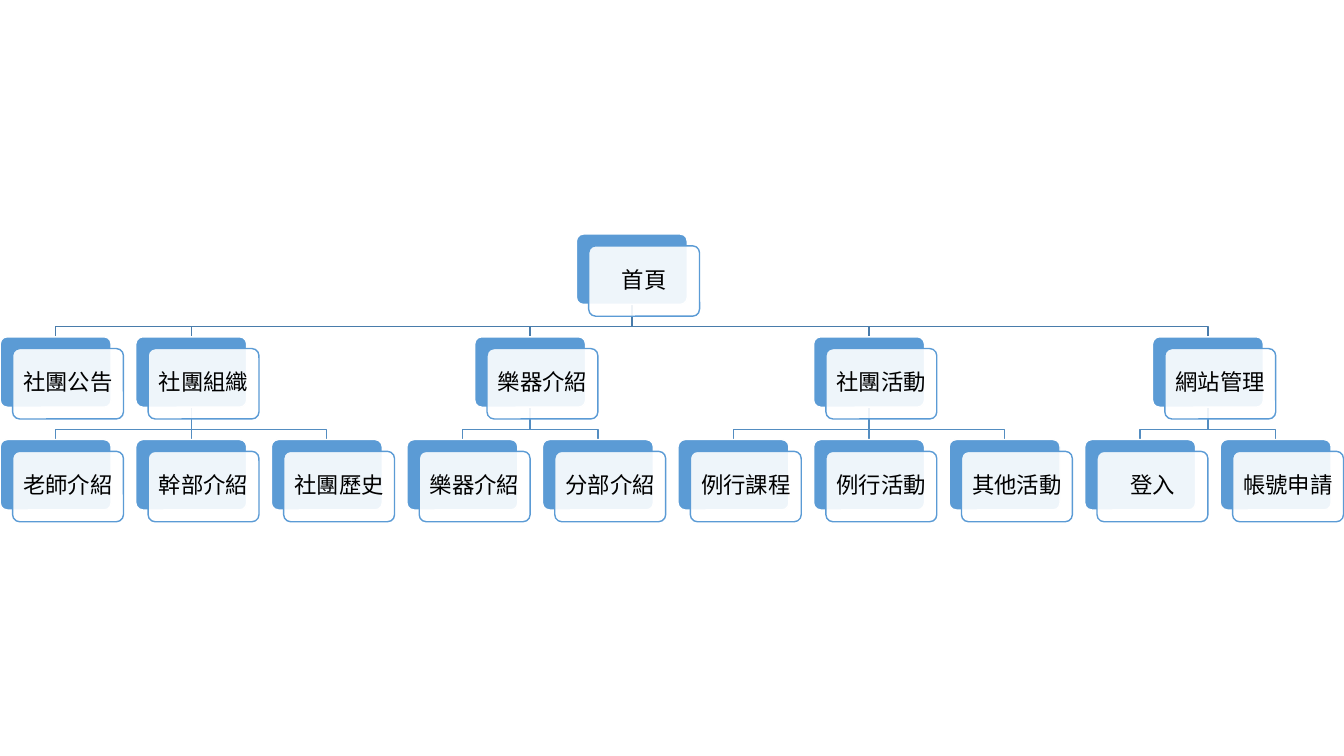
from dataclasses import dataclass

from lxml.etree import SubElement
from pptx import Presentation
from pptx.dml.color import RGBColor
from pptx.enum.shapes import MSO_CONNECTOR as Link, MSO_SHAPE as Preset
from pptx.enum.text import MSO_ANCHOR as Anchor, PP_ALIGN as Align
from pptx.oxml.ns import qn
from pptx.util import Pt

COLORS = {
    "card": "5B9BD5",
    "paper": "FFFFFF",
    "ink": "000000",
    "upper_link": "497CAB",
    "lower_link": "538DC1",
}
LEFT, TOP = 0.2, 167.2
COLUMN_PITCH, ROW_PITCH = 96.83, 73.4
CARD_WIDTH, CARD_HEIGHT = 79.2, 50.3
FRONT_RIGHT, FRONT_DOWN = 8.8, 8.4
LINK_BEND = 15.8

HOME = "首頁"
SECTIONS = [
    ("社團公告", []),
    ("社團組織", ["老師介紹", "幹部介紹", "社團歷史"]),
    ("樂器介紹", ["樂器介紹", "分部介紹"]),
    ("社團活動", ["例行課程", "例行活動", "其他活動"]),
    ("網站管理", ["登入", "帳號申請"]),
]


@dataclass
class Node:
    label: str
    column: float
    row: int

    @property
    def left(self):
        return LEFT + self.column * COLUMN_PITCH

    @property
    def top(self):
        return TOP + self.row * ROW_PITCH

    @property
    def center(self):
        return self.left + CARD_WIDTH / 2

    @property
    def bottom(self):
        return self.top + CARD_HEIGHT


def rgb(name):
    return RGBColor.from_string(COLORS[name])


def write(frame, text, size=16, font="Calibri", color="ink", inset=3):
    frame.word_wrap = True
    frame.vertical_anchor = Anchor.MIDDLE
    frame.margin_left = frame.margin_right = Pt(inset)
    frame.margin_top = frame.margin_bottom = Pt(inset)
    paragraph = frame.paragraphs[0]
    paragraph.alignment = Align.CENTER
    paragraph.line_spacing = 0.9
    run = paragraph.add_run()
    run.text = text
    run.font.size = Pt(size)
    run.font.name = font
    run.font.color.rgb = rgb(color)


class SiteMap:
    def __init__(self, slide, line_width=1):
        self.slide = slide
        self.line_width = line_width

    def outline(self, shape, color):
        shape.line.color.rgb = rgb(color)
        shape.line.width = Pt(self.line_width)

    def panel(self, left, top, fill, line):
        panel = self.slide.shapes.add_shape(
            Preset.ROUNDED_RECTANGLE, Pt(left), Pt(top), Pt(CARD_WIDTH), Pt(CARD_HEIGHT))
        panel.adjustments[0] = 0.1
        panel.shadow.inherit = False
        panel.fill.solid()
        panel.fill.fore_color.rgb = rgb(fill)
        self.outline(panel, line)
        return panel

    def card(self, node):
        self.panel(node.left, node.top, "card", "paper")
        front = self.panel(node.left + FRONT_RIGHT, node.top + FRONT_DOWN, "paper", "card")
        tint = front.element.spPr.find(qn("a:solidFill"))[0]
        SubElement(tint, qn("a:alpha"), val="90000")
        write(front.text_frame, node.label)

    def link(self, parent, child, color):
        start = Pt(parent.center), Pt(parent.bottom)
        end = Pt(child.center), Pt(child.top)
        if parent.column == child.column:
            line = self.slide.shapes.add_connector(Link.STRAIGHT, *start, *end)
            self.outline(line, color)
            SubElement(line.element.spPr, qn("a:effectLst"))
            return
        bend = Pt(parent.bottom + LINK_BEND)
        builder = self.slide.shapes.build_freeform(*start, scale=1.0)
        builder.add_line_segments([(start[0], bend), (end[0], bend), end], close=False)
        elbow = builder.convert_to_shape()
        elbow.shadow.inherit = False
        elbow.fill.background()
        self.outline(elbow, color)


def middle(nodes):
    return (nodes[0].column + nodes[-1].column) / 2


sections, pages, lower_links = [], [], []
for title, labels in SECTIONS:
    first = len(pages)
    children = [Node(label, first + step, 2) for step, label in enumerate(labels)]
    section = Node(title, middle(children) if children else first, 1)
    sections.append(section)
    pages += children
    lower_links += [(section, page) for page in children]
home = Node(HOME, middle(sections), 0)

presentation = Presentation()
presentation.slide_width, presentation.slide_height = Pt(960), Pt(540)
site_map = SiteMap(presentation.slides.add_slide(presentation.slide_layouts[6]))
for section, page in lower_links:
    site_map.link(section, page, "lower_link")
for section in sections:
    site_map.link(home, section, "upper_link")
for node in [home, *sections, *pages]:
    site_map.card(node)
presentation.save("out.pptx")
